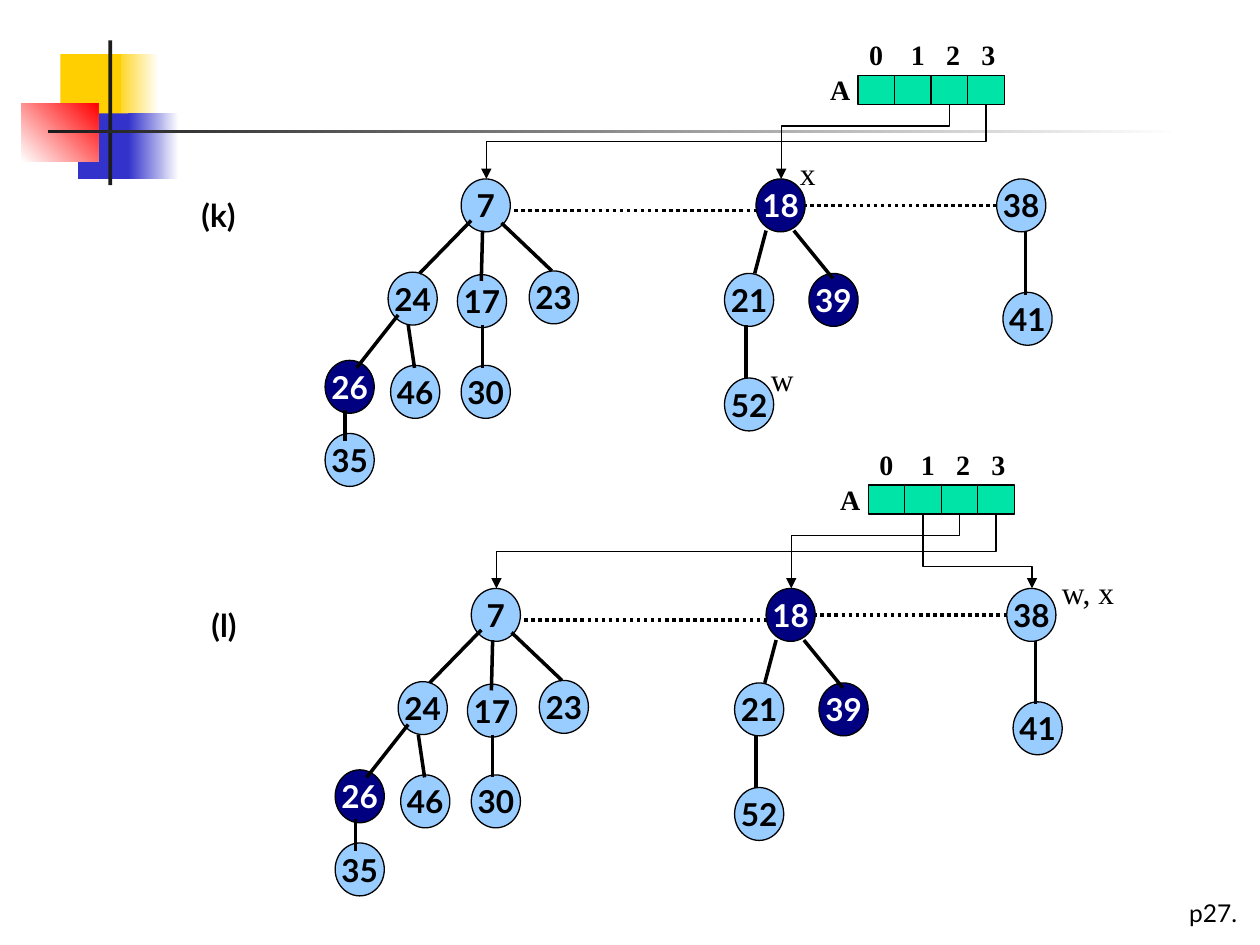
from typing import NamedTuple

import lxml.etree
import pptx
import pptx.dml.color
import pptx.enum.dml
import pptx.enum.shapes
import pptx.enum.text
import pptx.oxml.ns
import pptx.util

Inches = pptx.util.Inches
Pt = pptx.util.Pt
qn = pptx.oxml.ns.qn
KIND = pptx.enum.shapes.MSO_SHAPE
LINK = pptx.enum.shapes.MSO_CONNECTOR
SANS, SERIF = "Lato", "Times New Roman"
BLACK, WHITE, NAVY, SKY, GREEN = "000000", "FFFFFF", "000080", "99CCFF", "00E4A8"


class Node(NamedTuple):
    key: str
    x: float
    y: float
    marked: bool = False


class Edge(NamedTuple):
    x1: float
    y1: float
    x2: float
    y2: float
    dotted: bool = False


class Arrow(NamedTuple):
    slot: int
    x: float
    bend: float


class Label(NamedTuple):
    text: str
    x: float
    y: float
    w: float
    font: str = SERIF
    size: int = 18
    bold: bool = False


class Block(NamedTuple):
    x: float
    y: float
    w: float
    h: float
    start: str
    stop: str = ""
    angle: int = 0


NODES = [
    Node("35", 2.58, 3.44), Node("23", 4.2, 2.15), Node("7", 3.66, 1.42),
    Node("39", 6.42, 2.17, True), Node("18", 6, 1.42, True),
    Node("41", 7.96, 2.32), Node("38", 7.91, 1.42), Node("30", 3.66, 2.9),
    Node("17", 3.63, 2.18), Node("24", 3.08, 2.16), Node("26", 2.58, 2.86, True),
    Node("46", 3.1, 2.9), Node("21", 5.75, 2.17), Node("52", 5.75, 3),
]
ROOTS = [Edge(4.08, 1.67, 6.08, 1.67, True), Edge(6.04, 1.63, 7.92, 1.63, True)]
EDGES = [
    Edge(6.3, 1.83, 6.61, 2.21), Edge(8.14, 1.84, 8.14, 2.34),
    Edge(3.83, 2.58, 3.83, 2.92), Edge(3.16, 2.5, 2.83, 2.92),
    Edge(3.24, 2.58, 3.29, 2.92), Edge(2.74, 3.25, 2.74, 3.5),
    Edge(3.83, 1.83, 3.82, 2.23), Edge(3.98, 1.77, 4.38, 2.15),
    Edge(3.74, 1.75, 3.33, 2.17), Edge(5.92, 2.58, 5.92, 3),
    Edge(6.08, 1.83, 5.99, 2.17),
]
ARROWS = [Arrow(3, 3.86, 0.5), Arrow(2, 6.2, 0.29)]
LAST = Arrow(1, 8.11, 0.71)
BLOCKS = [
    Block(0.9, 0.43, 0.36, 0.52, "FFCF01", WHITE),
    Block(0.48, 0.43, 0.48, 0.52, "FFCF01"),
    Block(0.62, 0.9, 0.46, 0.52, "3333CC"),
    Block(1.02, 0.9, 0.4, 0.52, "3333CC", WHITE),
    Block(0.17, 0.82, 0.61, 0.46, WHITE, "FF0000", 45),
    Block(0.86, 0.32, 0.03, 1.15, "1C1C1C"),
    Block(0.38, 1.03, 9, 0.03, "1C1C1C", WHITE),
]
CELL_X, CELL_Y, CELL_W, CELL_H, ROOT_Y = 6.81, 0.6, 0.29, 0.23, 1.42


def tint(color, code: str) -> None:
    color.rgb = pptx.dml.color.RGBColor.from_string(code)


def write(par, text: str, font: str, size: int, bold: bool, code: str) -> None:
    run = par.add_run()
    run.text = text
    run.font.name, run.font.size, run.font.bold = font, Pt(size), bold
    tint(run.font.color, code)


def add_form(slide, kind, x: float, y: float, w: float, h: float, code: str):
    form = slide.shapes.add_shape(kind, Inches(x), Inches(y), Inches(w), Inches(h))
    form.shadow.inherit = False
    form.fill.solid()
    tint(form.fill.fore_color, code)
    tint(form.line.color, BLACK)
    form.line.width = Pt(0.75)
    return form


def add_block(slide, block: Block) -> None:
    form = add_form(slide, KIND.RECTANGLE, *block[:5])
    form.line.fill.background()
    if block.stop:
        form.fill.gradient()
        form.fill.gradient_angle = block.angle
        for stop, code in zip(form.fill.gradient_stops, (block.start, block.stop)):
            tint(stop.color, code)
        form.fill.gradient_stops[0].position = 0
        form.fill.gradient_stops[1].position = 1


def add_label(slide, label: Label, dx: float = 0, dy: float = 0):
    high = {14: 0.33, 16: 0.37, 18: 0.4}[label.size]
    box = slide.shapes.add_textbox(
        Inches(label.x + dx), Inches(label.y + dy), Inches(label.w), Inches(high))
    box.text_frame.word_wrap = False
    box.text_frame.auto_size = pptx.enum.text.MSO_AUTO_SIZE.SHAPE_TO_FIT_TEXT
    par = box.text_frame.paragraphs[0]
    write(par, label.text, label.font, label.size, label.bold, BLACK)
    return box


def add_scale(slide, dx: float, dy: float) -> None:
    """Write the index digits above the array at tab stops."""
    box = add_label(slide, Label("0\t1\t2\t3", 6.8, 0.25, 1.38, SERIF, 16, True), dx, dy)
    box.text_frame.word_wrap = True
    props = box.text_frame.paragraphs[0]._p.get_or_add_pPr()
    tabs = lxml.etree.SubElement(props, qn("a:tabLst"))
    for place in (0.33, 0.61, 0.89):
        lxml.etree.SubElement(tabs, qn("a:tab"), pos=str(Inches(place)), algn="l")


def add_node(slide, node: Node, dx: float, dy: float) -> None:
    fill, ink = (NAVY, WHITE) if node.marked else (SKY, BLACK)
    form = add_form(slide, KIND.OVAL, node.x + dx, node.y + dy, 0.39, 0.42, fill)
    frame = form.text_frame
    frame.word_wrap = False
    frame.vertical_anchor = pptx.enum.text.MSO_ANCHOR.MIDDLE
    frame.paragraphs[0].alignment = pptx.enum.text.PP_ALIGN.CENTER
    write(frame.paragraphs[0], node.key, SANS, 18, True, ink)


def add_link(slide, kind, x1: float, y1: float, x2: float, y2: float, width: float):
    link = slide.shapes.add_connector(kind, Inches(x1), Inches(y1), Inches(x2), Inches(y2))
    tint(link.line.color, BLACK)
    link.line.width = Pt(width)
    lxml.etree.SubElement(link._element.spPr, qn("a:effectLst"))
    return link


def add_edge(slide, edge: Edge, dx: float, dy: float) -> None:
    link = add_link(slide, LINK.STRAIGHT, edge.x1 + dx, edge.y1 + dy,
                    edge.x2 + dx, edge.y2 + dy, 2)
    if edge.dotted:
        link.line.dash_style = pptx.enum.dml.MSO_LINE.ROUND_DOT


def add_arrow(slide, arrow: Arrow, dx: float, dy: float) -> None:
    """Draw an elbow that leaves an array cell downwards and ends on a root."""
    start = CELL_X + (arrow.slot + 0.5) * CELL_W
    top = CELL_Y + CELL_H
    drop, span = ROOT_Y - top, abs(arrow.x - start)
    # The elbow is laid out sideways about its centre, then turned
    left = (start + arrow.x - drop) / 2 + dx
    up = (top + ROOT_Y - span) / 2 + dy
    link = add_link(slide, LINK.ELBOW, left, up, left + drop, up + span, 0.75)
    props = link._element.spPr
    right = arrow.x > start
    frame = props.find(qn("a:xfrm"))
    frame.set("rot", str((270 if right else 90) * 60000))
    if right:
        frame.set("flipH", "1")
    guides = props.find(qn("a:prstGeom")).find(qn("a:avLst"))
    lxml.etree.SubElement(guides, qn("a:gd"), name="adj1",
                          fmla=f"val {round(arrow.bend * 100000)}")
    lxml.etree.SubElement(props.find(qn("a:ln")), qn("a:tailEnd"), type="triangle")


def add_heap(slide, name: Label, arrows: list[Arrow], dx: float, dy: float) -> None:
    add_scale(slide, dx, dy)
    add_label(slide, name, dx, dy)
    for slot in range(4):
        add_form(slide, KIND.RECTANGLE, CELL_X + slot * CELL_W + dx, CELL_Y + dy,
                 CELL_W, CELL_H, GREEN)
    add_label(slide, Label("A", 6.49, 0.53, 0.36, SERIF, 16, True), dx, dy)
    for edge in ROOTS:
        add_edge(slide, edge, dx, dy)
    for node in NODES:
        add_node(slide, node, dx, dy)
    for edge in EDGES:
        add_edge(slide, edge, dx, dy)
    for arrow in arrows:
        add_arrow(slide, arrow, dx, dy)


def main() -> None:
    deck = pptx.Presentation()
    deck.slide_width, deck.slide_height = Inches(10), Inches(7.5)
    slide = deck.slides.add_slide(deck.slide_layouts[6])
    # Corner ornament and page mark
    for block in BLOCKS:
        add_block(slide, block)
    add_label(slide, Label("p27.", 9.34, 7.08, 0.66, SANS, 14))
    # Two stages of the heap
    add_heap(slide, Label("(k)", 1.5, 1.51, 0.58, SANS, 18, True), ARROWS, 0, 0)
    add_heap(slide, Label("(l)", 1.5, 1.51, 0.5, SANS, 18, True), ARROWS + [LAST], 0.08, 3.25)
    # Pointer names
    for label in (Label("x", 6.25, 1.17, 0.33), Label("w, x", 8.33, 4.5, 0.63),
                  Label("w", 6.02, 2.81, 0.38)):
        add_label(slide, label)
    deck.save("out.pptx")


if __name__ == "__main__":
    main()
